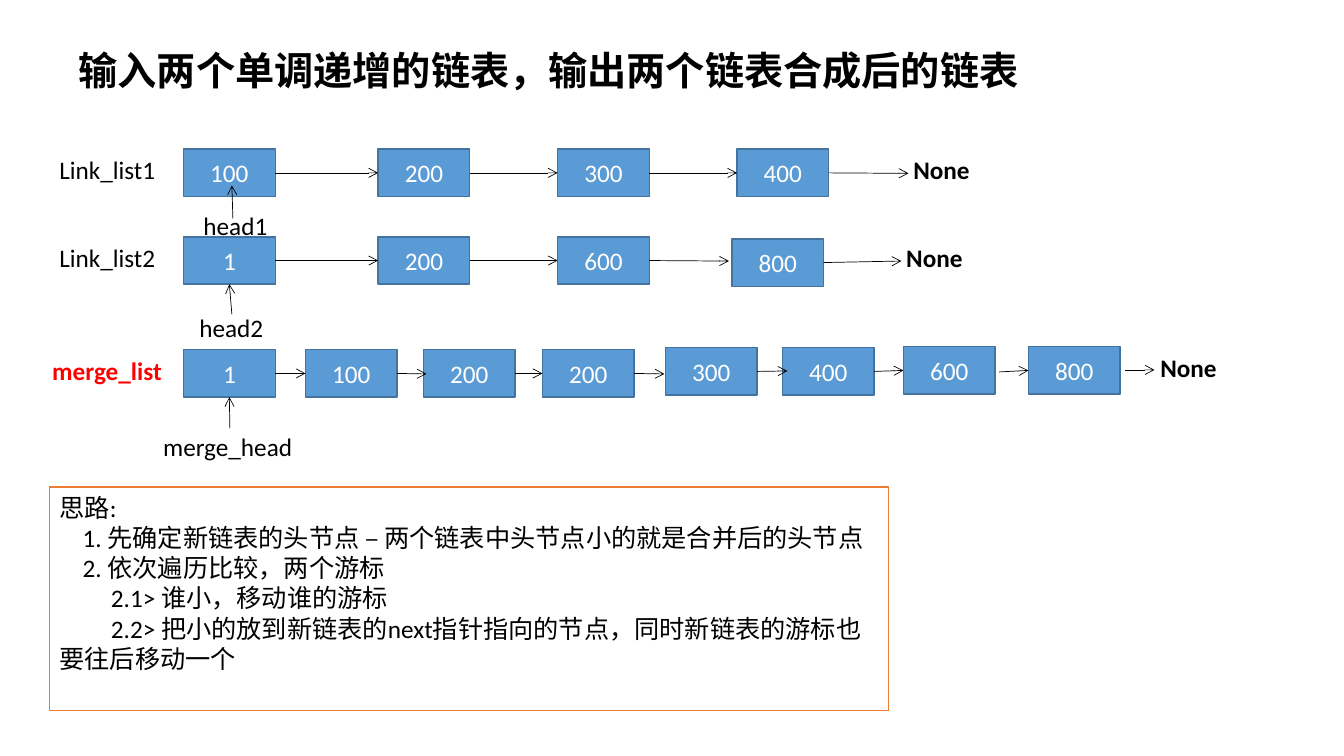
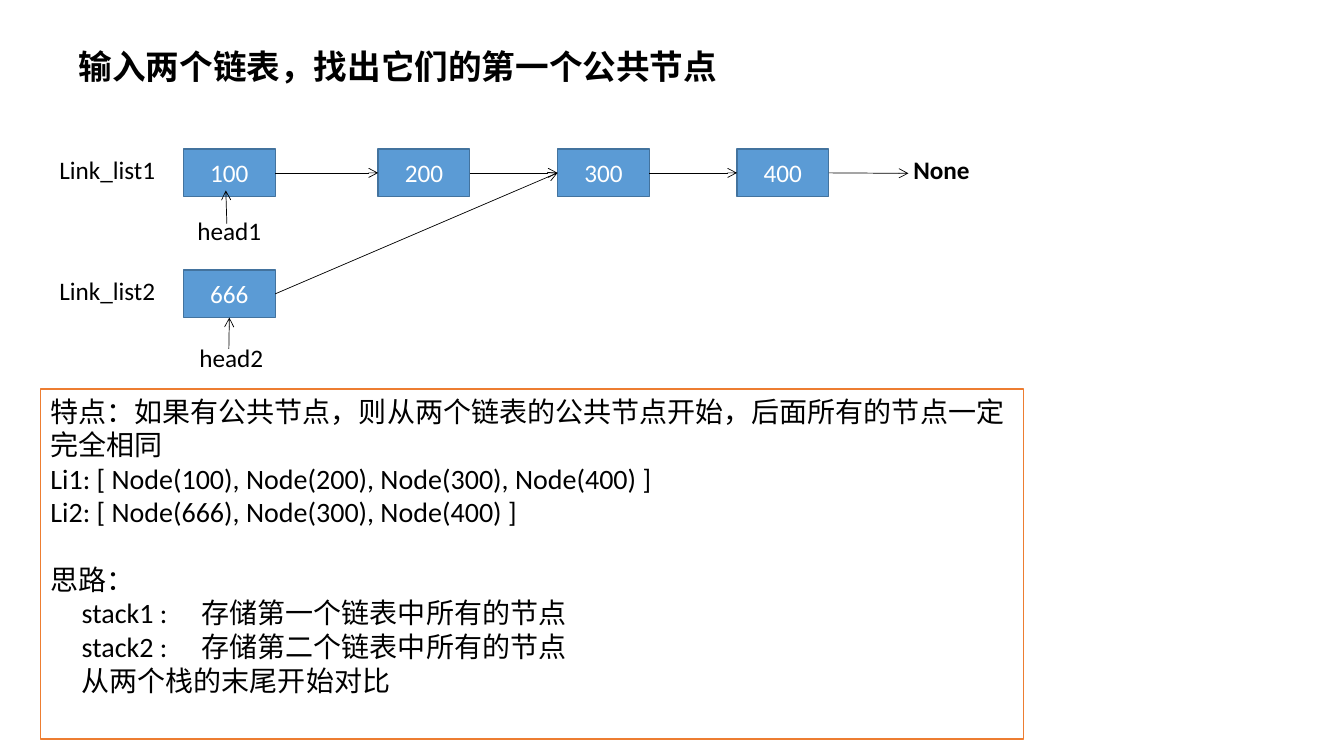
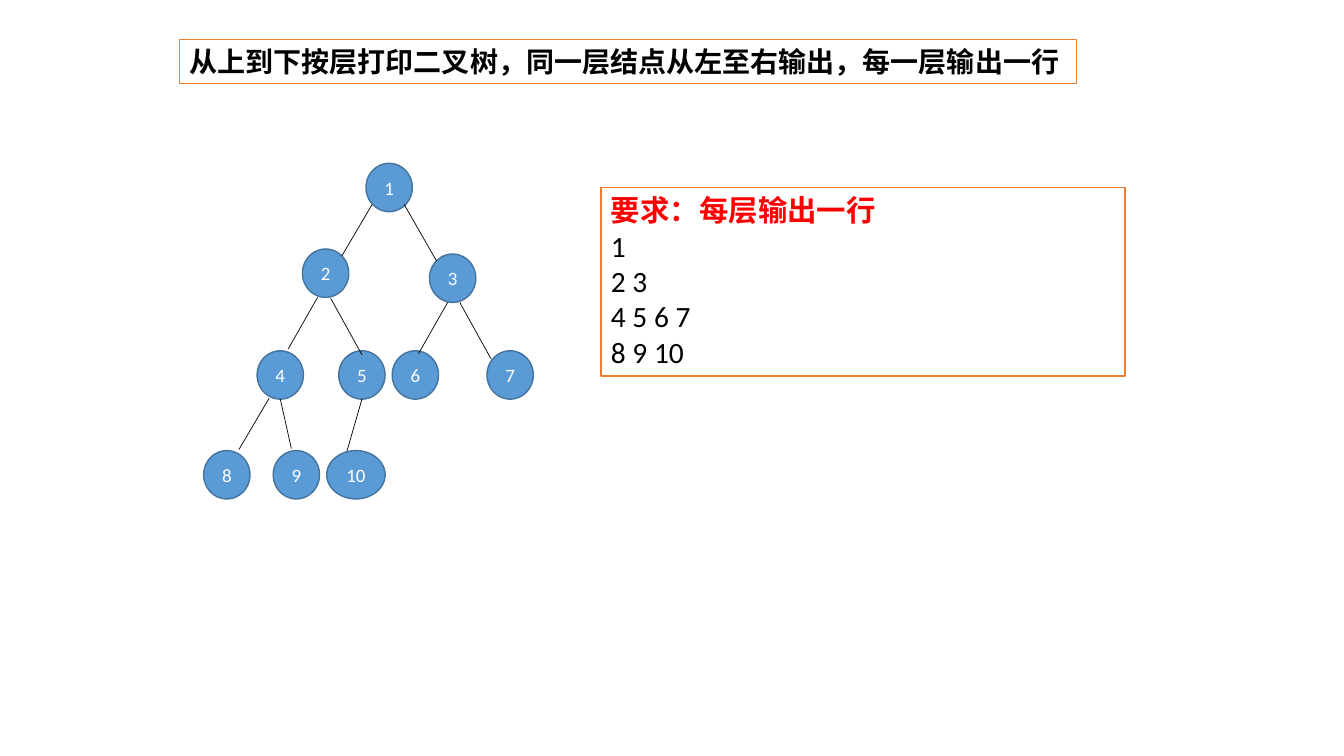
"""Builds three slides on linked lists and level-order printing of a binary tree."""
from lxml import etree
from pptx import Presentation
from pptx import util as u
from pptx.dml import color
from pptx.enum import shapes, text
from pptx.oxml import ns

BLACK, WHITE, RED = "000000", "FFFFFF", "FF0000"
BLUE, NAVY, ORANGE = "5B9BD5", "43739E", "ED7D31"
NODE_W, NODE_H, CIRCLE_W, CIRCLE_H = 0.91, 0.47, 0.46, 0.48
LABEL_H, TOUCH = 0.4, 0.02
LABEL_WIDTHS = {"Link_list1": 1.16, "Link_list2": 1.16, "head1": 0.84, "head2": 0.84,
                "merge_list": 1.3, "merge_head": 1.51, "None": 0.76}
LABEL_STYLES = {"merge_list": (RED, True), "None": (BLACK, True)}

LIST1 = {
    "nodes": [("100", 1.82, 1.48), ("200", 3.75, 1.48), ("300", 5.53, 1.48), ("400", 7.31, 1.48)],
    "arrows": [(2.74, 1.72, 3.75, 1.72), (4.66, 1.72, 5.53, 1.72),
               (6.45, 1.72, 7.31, 1.72), (8.23, 1.72, 9.01, 1.72)],
    "labels": [("Link_list1", 0.49, 1.48), ("None", 8.96, 1.48)],
}
LIST2 = {
    "nodes": [("1", 1.82, 2.35), ("200", 3.75, 2.35), ("600", 5.53, 2.35), ("800", 7.26, 2.37)],
    "arrows": [(2.74, 2.59, 3.75, 2.59), (4.66, 2.59, 5.53, 2.59), (6.44, 2.59, 7.23, 2.59),
               (8.16, 2.59, 8.94, 2.59), (2.31, 2.17, 2.3, 1.84), (2.3, 3.12, 2.29, 2.81)],
    "labels": [("Link_list2", 0.49, 2.36), ("None", 8.89, 2.35),
               ("head1", 1.92, 2.04), ("head2", 1.88, 3.05)],
}
MERGE_STARTS = [(2.74, 3.71), (3.94, 3.71), (5.1, 3.71), (6.3, 3.71),
                (7.52, 3.68), (8.69, 3.69), (9.91, 3.69), (11.16, 3.67)]
MERGED = {
    "nodes": [("1", 1.82, 3.47), ("100", 3.03, 3.47), ("200", 4.2, 3.47), ("200", 5.38, 3.47),
              ("300", 6.6, 3.45), ("400", 7.76, 3.45), ("600", 8.96, 3.44), ("800", 10.2, 3.44)],
    "arrows": [(x, y, x + 0.29, y) for x, y in MERGE_STARTS] + [(2.28, 4.25, 2.27, 3.94)],
    "labels": [("merge_list", 0.42, 3.48), ("merge_head", 1.52, 4.23), ("None", 11.41, 3.45)],
}
BRANCH = {
    "nodes": [("666", 1.82, 2.68)],
    "arrows": [(2.74, 2.91, 5.53, 1.72), (2.25, 2.22, 2.24, 1.89), (2.27, 3.46, 2.26, 3.15)],
    "labels": [("Link_list2", 0.49, 2.68), ("head1", 1.86, 2.09), ("head2", 1.88, 3.35)],
}
TREE_NODES = [("1", 3.63, 1.62), ("2", 3, 2.47), ("3", 4.26, 2.52), ("4", 2.55, 3.48),
              ("5", 3.36, 3.48), ("6", 3.89, 3.48), ("7", 4.83, 3.48),
              ("8", 2.02, 4.47), ("9", 2.71, 4.47), ("10", 3.24, 4.47)]
TREE_EDGES = [(3.39, 2.54, 3.69, 2.03), (4.33, 2.59, 4.01, 2.03), (3.59, 3.52, 3.28, 2.96),
              (4.87, 3.56, 4.56, 3), (2.86, 3.46, 3.15, 2.95), (4.15, 3.51, 4.44, 3),
              (2.89, 4.45, 2.78, 3.96), (2.37, 4.46, 2.67, 3.95), (3.44, 4.48, 3.59, 3.96)]

SLIDES = [
    {"title": "输入两个单调递增的链表，输出两个链表合成后的链表",
     "title_box": (0.68, 0.41, 9.67, 0.57), "title_size": 28,
     "note_box": (0.49, 4.83, 8.32, 2.22), "note_size": 18,
     "note": [("思路:", 0),
              ("1. 先确定新链表的头节点 – 两个链表中头节点小的就是合并后的头节点", 0.23),
              ("2. 依次遍历比较，两个游标", 0.23),
              ("2.1> 谁小，移动谁的游标", 0.51),
              ("2.2> 把小的放到新链表的next指针指向的节点，同时新链表的游标也要往后移动一个", 0.51)],
     "chains": [LIST1, LIST2, MERGED]},
    {"title": "输入两个链表，找出它们的第一个公共节点",
     "title_box": (0.68, 0.41, 6.63, 0.5), "title_size": 24,
     "note_box": (0.4, 3.86, 9.75, 3.47), "note_size": 20,
     "note": [("特点：如果有公共节点，则从两个链表的公共节点开始，后面所有的节点一定完全相同", 0),
              ("Li1: [ Node(100), Node(200), Node(300), Node(400) ]", 0),
              ("Li2: [ Node(666), Node(300), Node(400) ]", 0),
              ("思路：", 0, 24),
              ("stack1 :\t存储第一个链表中所有的节点", 0.31),
              ("stack2 :\t存储第二个链表中所有的节点", 0.31),
              ("从两个栈的末尾开始对比", 0.31)],
     "chains": [LIST1, BRANCH]},
    {"title": "从上到下按层打印二叉树，同一层结点从左至右输出，每一层输出一行",
     "title_box": (1.78, 0.39, 8.9, 0.44), "title_size": 20,
     "title_font": "Noto Sans CJK SC", "title_line": ORANGE,
     "note_box": (5.96, 1.86, 5.2, 1.87), "note_size": 21,
     "note": [("要求：每层输出一行", 0, 0, RED), ("1", 0), ("2 3", 0), ("4 5 6 7", 0), ("8 9 10", 0)],
     "chains": []},
]


def rgb(value):
    return color.RGBColor.from_string(value)


def inches(values):
    return [u.Inches(value) for value in values]


def style(paragraph, size, tint=BLACK, bold=False, name="Calibri"):
    font = paragraph.font
    font.size, font.bold, font.name = u.Pt(size), bold, name
    font.color.rgb = rgb(tint)


def paint(shape, fill, line):
    shape.fill.solid()
    shape.fill.fore_color.rgb = rgb(fill)
    shape.line.color.rgb = rgb(line)
    shape.line.width = u.Pt(1)


def place(shape, box):
    shape.left, shape.top, shape.width, shape.height = inches(box)
    frame = shape.text_frame
    frame.auto_size = text.MSO_AUTO_SIZE.NONE
    frame.vertical_anchor = text.MSO_ANCHOR.TOP
    frame.word_wrap = True
    return frame


def add_title(slide, page):
    title = slide.shapes.title
    place(title, page["title_box"]).text = page["title"]
    paragraph = title.text_frame.paragraphs[0]
    paragraph.alignment = text.PP_ALIGN.LEFT
    style(paragraph, page["title_size"], bold=True, name=page.get("title_font", "Calibri"))
    if "title_line" in page:
        paint(title, WHITE, page["title_line"])


def add_note_line(paragraph, size, words, indent, gap=0, tint=BLACK):
    paragraph.text = words
    props = paragraph._p.get_or_add_pPr()
    props.set("marL", "0")
    props.set("indent", str(u.Inches(indent)))
    etree.SubElement(props, ns.qn("a:buNone"))
    if "\t" in words:
        tabs = etree.SubElement(props, ns.qn("a:tabLst"))
        etree.SubElement(tabs, ns.qn("a:tab"), pos=str(u.Inches(1.36)), algn="l")
    paragraph.space_before = u.Pt(gap)
    style(paragraph, size, tint, tint == RED)


def add_note(slide, page):
    note = slide.placeholders[1]
    frame = place(note, page["note_box"])
    paint(note, WHITE, ORANGE)
    for index, line in enumerate(page["note"]):
        paragraph = frame.add_paragraph() if index else frame.paragraphs[0]
        add_note_line(paragraph, page["note_size"], *line)


def add_node(slide, kind, value, box, size):
    node = slide.shapes.add_shape(kind, *inches(box))
    node.shadow.inherit = False
    paint(node, BLUE, NAVY)
    frame = node.text_frame
    frame.text = value
    frame.vertical_anchor = text.MSO_ANCHOR.MIDDLE
    frame.paragraphs[0].alignment = text.PP_ALIGN.CENTER
    style(frame.paragraphs[0], size, WHITE)
    return node


def add_label(slide, words, x, y):
    box = (x, y, LABEL_WIDTHS[words], LABEL_H)
    frame = place(slide.shapes.add_textbox(*inches(box)), box)
    frame.text = words
    style(frame.paragraphs[0], 18, *LABEL_STYLES.get(words, ()))


def add_line(slide, ends, arrow=False):
    line = slide.shapes.add_connector(shapes.MSO_CONNECTOR.STRAIGHT, *inches(ends))
    line.line.color.rgb = rgb(BLACK)
    line.line.width = u.Pt(0.5)
    if arrow:
        etree.SubElement(line.line._get_or_add_ln(), ns.qn("a:tailEnd"), type="arrow")
    etree.SubElement(line._element.spPr, ns.qn("a:effectLst"))
    return line


def touching(nodes, x, y):
    """Return the node and side whose middle lies at the point, if any."""
    for node, left, top in nodes:
        middle, centre = left + NODE_W / 2, top + NODE_H / 2
        sides = [(middle, top), (left, centre), (middle, top + NODE_H), (left + NODE_W, centre)]
        for side, (side_x, side_y) in enumerate(sides):
            if max(abs(side_x - x), abs(side_y - y)) <= TOUCH:
                return node, side
    return None


def add_chains(slide, chains):
    nodes = []
    for chain in chains:
        for value, x, y in chain["nodes"]:
            box = (x, y, NODE_W, NODE_H)
            nodes.append((add_node(slide, shapes.MSO_SHAPE.RECTANGLE, value, box, 18), x, y))
    for chain in chains:
        for ends in chain["arrows"]:
            arrow = add_line(slide, ends, arrow=True)
            start, finish = touching(nodes, *ends[:2]), touching(nodes, *ends[2:])
            if start:
                arrow.begin_connect(*start)
            if finish:
                arrow.end_connect(*finish)
        for label in chain["labels"]:
            add_label(slide, *label)


def add_tree(slide):
    for value, x, y in TREE_NODES:
        width = 0.58 if len(value) > 1 else CIRCLE_W
        add_node(slide, shapes.MSO_SHAPE.OVAL, value, (x, y, width, CIRCLE_H), 13.5)
    for ends in TREE_EDGES:
        add_line(slide, ends)


def main():
    deck = Presentation()
    deck.slide_width, deck.slide_height = inches((13.33, 7.5))
    for page in SLIDES:
        slide = deck.slides.add_slide(deck.slide_layouts[1])
        add_title(slide, page)
        add_note(slide, page)
        add_chains(slide, page["chains"])
    add_tree(slide)
    deck.save("out.pptx")


if __name__ == "__main__":
    main()
